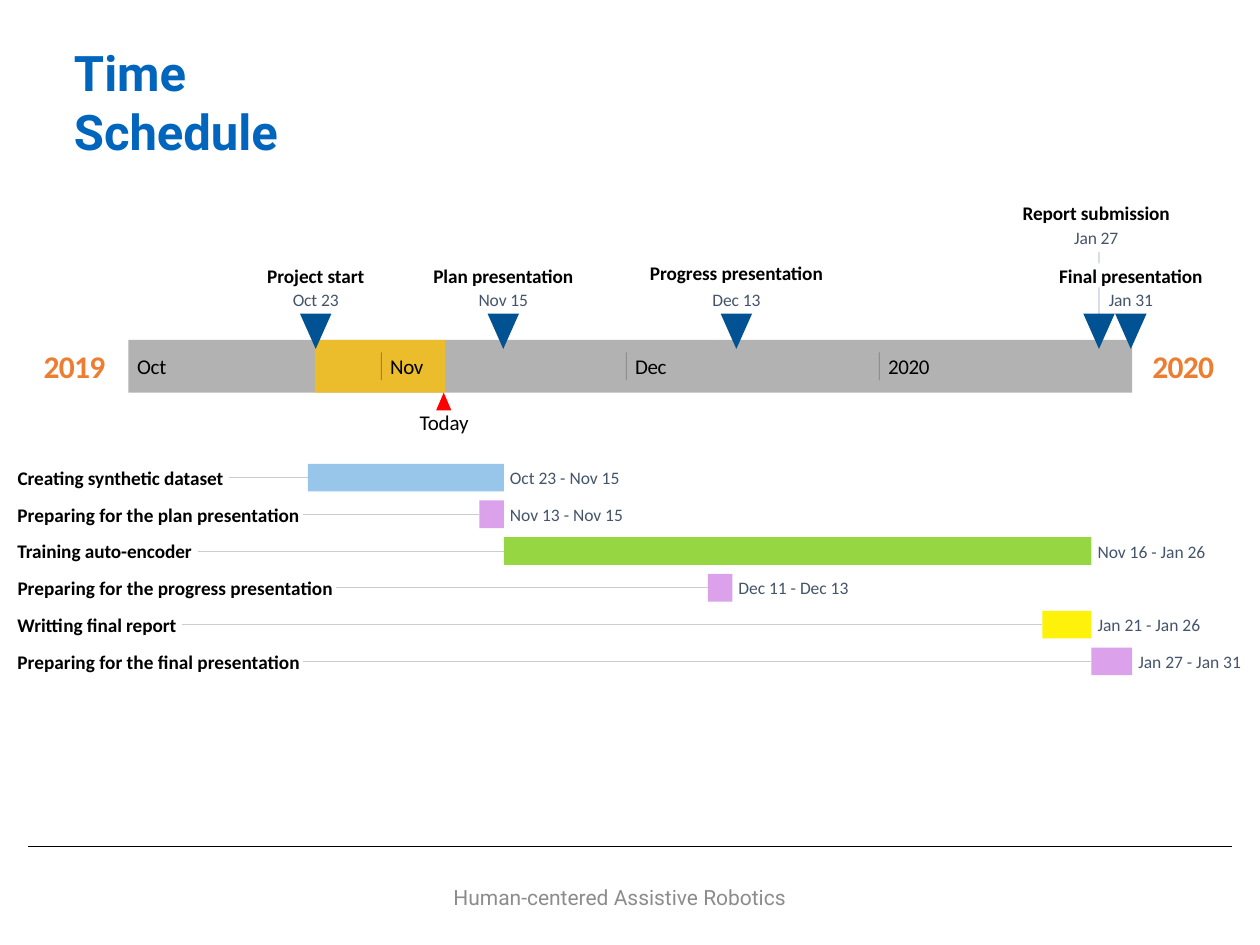
import pptx
import pptx.dml.color
import pptx.enum.shapes
import pptx.enum.text
import pptx.oxml.ns
import pptx.util

Pt = pptx.util.Pt
RGB = pptx.dml.color.RGBColor
SHAPE = pptx.enum.shapes.MSO_SHAPE
ALIGN = pptx.enum.text.PP_ALIGN
ANCHOR = pptx.enum.text.MSO_ANCHOR
qn = pptx.oxml.ns.qn

BLACK = RGB(0x00, 0x00, 0x00)
TITLE_BLUE = RGB(0x00, 0x65, 0xBD)
MARKER_BLUE = RGB(0x00, 0x52, 0x93)
STEM_BLUE = RGB(0x1F, 0x49, 0x7E)
SLATE = RGB(0x44, 0x54, 0x6A)
ORANGE = RGB(0xED, 0x7D, 0x31)
BAR_GREY = RGB(0xB2, 0xB2, 0xB2)
LEADER_GREY = RGB(0xCC, 0xCC, 0xCC)
FOOTER_GREY = RGB(0x8C, 0x8C, 0x8C)
AMBER = RGB(0xFF, 0xC0, 0x00)
RED = RGB(0xFF, 0x00, 0x00)
SKY = RGB(0x98, 0xC6, 0xEA)
GREEN = RGB(0x96, 0xD6, 0x42)
YELLOW = RGB(0xFE, 0xF2, 0x0A)
LILAC = RGB(0xDC, 0xA1, 0xEB)

TOTAL_DAYS = 123
MONTHS = [("Oct", 0), ("Nov", 31), ("Dec", 61), ("2020", 92)]
MILESTONES = [
    ("Project start", "Oct 23", 180.4, 180.4, 150.5, 164.9),
    ("Plan presentation", "Nov 15", 287.6, 287.6, 150.5, 164.9),
    ("Progress presentation", "Dec 13", 420.8, 420.8, 149, 164.9),
    ("Report submission", "Jan 27", 628, 626.4, 115, 129.6),
    ("Final presentation", "Jan 31", 646.2, 646.2, 150.5, 164.9),
]
TASKS = [
    ("Creating synthetic dataset", 121, -0.05, "Oct 23 - Nov 15", 22, 46, SKY),
    ("Preparing for the plan presentation", 163, 0, "Nov 13 - Nov 15", 43, 46, LILAC),
    ("Training auto-encoder", 103, -0.05, "Nov 16 - Jan 26", 46, 118, GREEN),
    ("Preparing for the progress presentation", 182, 0, "Dec 11 - Dec 13", 71, 74, LILAC),
    ("Writting final report", 94, -0.05, "Jan 21 - Jan 26", 112, 118, YELLOW),
    ("Preparing for the final presentation", 163, 0, "Jan 27 - Jan 31", 118, 123, LILAC),
]


def add_text(slide, text, x, y, w, h, size=10, color=BLACK, bold=False, font="Calibri",
             align=ALIGN.LEFT, anchor=ANCHOR.MIDDLE, inset=(0, 0), spacing=0):
    """Add a one-run text box and return it."""
    s = slide.shapes.add_textbox(Pt(x), Pt(y), Pt(w), Pt(h))
    tf = s.text_frame
    tf.word_wrap = True
    tf.vertical_anchor = anchor
    tf.margin_left = tf.margin_right = Pt(inset[0])
    tf.margin_top = tf.margin_bottom = Pt(inset[1])
    p = tf.paragraphs[0]
    p.alignment = align
    r = p.add_run()
    r.text = text
    r.font.name, r.font.size, r.font.bold = font, Pt(size), bold
    r.font.color.rgb = color
    if spacing:
        r._r.get_or_add_rPr().set("spc", str(round(spacing * 100)))
    return s


def set_alpha(spPr, percent):
    """Make the first solid colour of a shape partly transparent."""
    clr = next(spPr.iter(qn("a:srgbClr")))
    clr.append(clr.makeelement(qn("a:alpha"), {"val": str(percent * 1000)}))


def add_block(slide, kind, x, y, w, h, color, alpha=100):
    """Add a filled shape without outline and return it."""
    s = slide.shapes.add_shape(kind, Pt(x), Pt(y), Pt(w), Pt(h))
    s.shadow.inherit = False
    s.fill.solid()
    s.fill.fore_color.rgb = color
    s.line.fill.background()
    if alpha < 100:
        set_alpha(s._element.spPr, alpha)
    return s


def add_line(slide, x1, y1, x2, y2, color, width=0.5, alpha=100):
    """Add a straight connector without shadow and return it."""
    c = slide.shapes.add_connector(
        pptx.enum.shapes.MSO_CONNECTOR.STRAIGHT, Pt(x1), Pt(y1), Pt(x2), Pt(y2))
    c.line.color.rgb = color
    c.line.width = Pt(width)
    spPr = c._element.spPr
    if alpha < 100:
        set_alpha(spPr, alpha)
    spPr.append(spPr.makeelement(qn("a:effectLst"), {}))
    return c


def add_title(slide, x, y, w, h):
    """Place the slide title, which wraps onto two lines."""
    add_text(slide, "Time Schedule", x, y, w, h, size=28, color=TITLE_BLUE, bold=True,
             font="Roboto", anchor=ANCHOR.TOP, inset=(7.2, 3.6))


def add_footer(slide, x, y, w):
    """Draw the rule and the centred footer below it."""
    add_line(slide, x, y, x + w, y, BLACK, width=1)
    add_text(slide, "Human-centered Assistive Robotics", 121.7, y + 14, 465, 29.5, size=12,
             color=FOOTER_GREY, font="Roboto", align=ALIGN.CENTER)


def add_month_bar(slide, x, y, w, h):
    """Draw the month band with its years, elapsed part and today marker."""
    add_block(slide, SHAPE.RECTANGLE, x, y, w, h, BAR_GREY)
    add_block(slide, SHAPE.RECTANGLE, 180, y, 74.2, h, AMBER, alpha=75)
    add_block(slide, SHAPE.ISOSCELES_TRIANGLE, 249.2, y + h, 8.8, 10.2, RED)
    add_text(slide, "Today", 233.8, y + h + 9.5, 40, 14.4, size=12,
             align=ALIGN.CENTER, spacing=-0.1)
    for year, center in (("2019", x - 30.8), ("2020", x + w + 29.2)):
        add_text(slide, year, center - 22, y + 3.8, 44, 22.3, size=18, color=ORANGE, bold=True,
                 align=ALIGN.CENTER, spacing=-0.4)
    for month, day in MONTHS:
        left = x + day * w / TOTAL_DAYS
        add_text(slide, month, left + 5, y + 7.9, 40, 14.4, size=12, spacing=-0.2)
        if day:
            add_line(slide, left, y + 7.2, left, y + 23, BLACK, alpha=30)


def add_milestones(slide, y):
    """Draw the milestone markers, whose tops are at y, with their captions."""
    for top, bottom in ((144, 150.5), (164.2, 189.4)):
        add_line(slide, 628, top, 628, bottom, STEM_BLUE, alpha=50)
    for name, date, center, text_center, name_y, date_y in MILESTONES:
        s = add_block(slide, SHAPE.ISOSCELES_TRIANGLE, center - 9, y, 18, 20.2, MARKER_BLUE)
        s._element.spPr.get_or_add_xfrm().set("flipV", "1")
        add_text(slide, name, text_center - 55, name_y, 110, 13.7, size=11, bold=True,
                 align=ALIGN.CENTER, spacing=-0.05)
        add_text(slide, date, text_center - 20, date_y, 40, 12.2, color=SLATE,
                 align=ALIGN.CENTER, spacing=-0.05)


def add_tasks(slide, x, y, w, pitch, h):
    """Draw one row per task: label, leader, bar and dates."""
    for i, (name, name_w, spacing, dates, start, end, color) in enumerate(TASKS):
        top = y + i * pitch
        left, right = (x + day * w / TOTAL_DAYS for day in (start, end))
        leader = add_line(slide, 10 + name_w, top + h / 2, left, top + h / 2, LEADER_GREY)
        bar = add_block(slide, SHAPE.RECTANGLE, left, top, right - left, h, color)
        label = add_text(slide, name, 10, top + 1, name_w, h - 2, size=11, bold=True,
                         spacing=spacing)
        add_text(slide, dates, right + 3.5, top + 2, 69, h - 4, color=SLATE)
        leader.begin_connect(label, 3)
        leader.end_connect(bar, 1)


def main():
    """Build and save the slide."""
    prs = pptx.Presentation()
    prs.slide_width, prs.slide_height = Pt(720), Pt(540)
    slide = prs.slides.add_slide(prs.slide_layouts[6])
    x, w = 73.4, 573.6
    add_footer(slide, 15.8, 483.8, 688.4)
    add_month_bar(slide, x, 194.2, w, 30.2)
    add_tasks(slide, x, 265, w, 21, 15.8)
    add_milestones(slide, 179.2)
    add_title(slide, 35.2, 20.7, 185, 41)
    prs.save("out.pptx")


if __name__ == "__main__":
    main()
